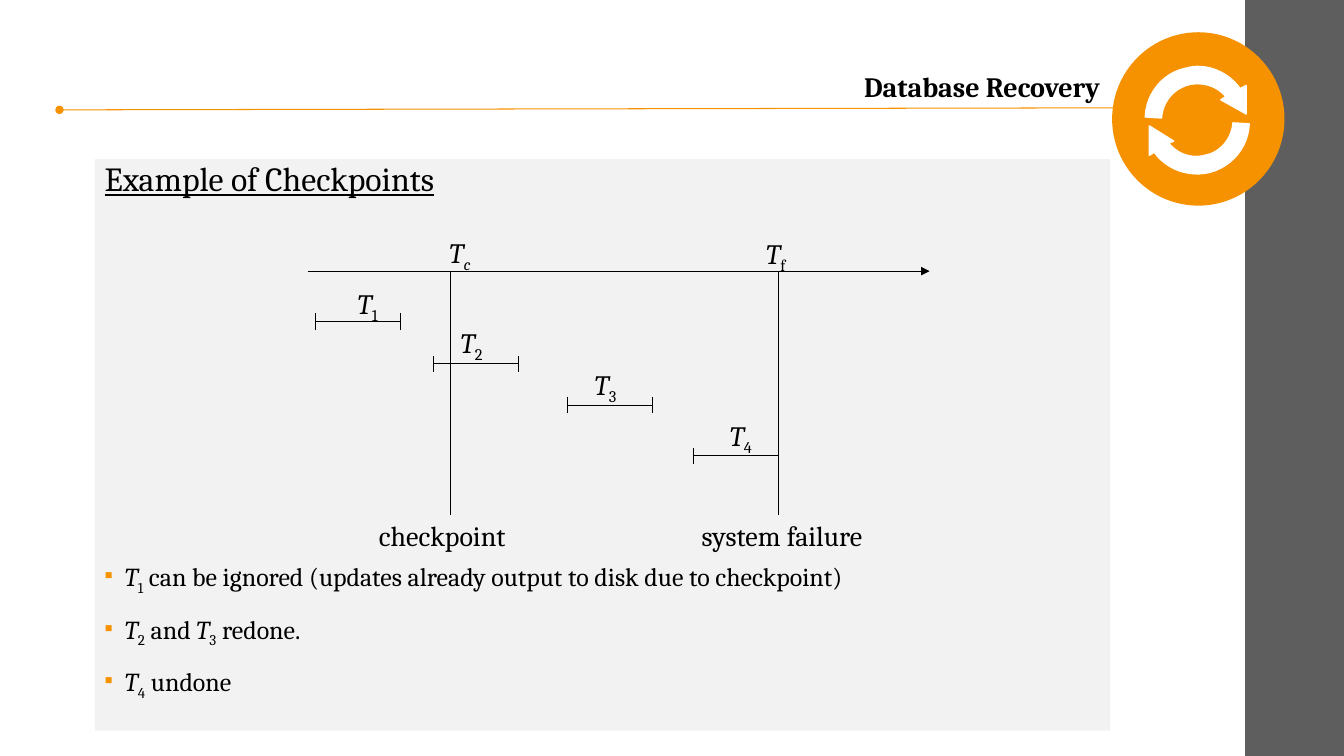
from lxml import etree
from pptx import Presentation
from pptx.dml.color import RGBColor
from pptx.enum import shapes, text
from pptx.oxml import ns
from pptx.util import Inches, Pt

ORANGE, BLACK, WHITE, GREY, PANEL = "F69200", "000000", "FFFFFF", "5E5E5E", "F2F2F2"
FONT = "Cambria"

# Runs are (text, style): i italic, s subscript, b bold, u underlined
TITLE = [("Database Recovery", "b")]
HEADING = [("Example of Checkpoints", "u")]
BULLETS = [
    [("T", "i"), ("1", "s"),
     (" can be ignored (updates already output to disk due to checkpoint)", "")],
    [("T", "i"), ("2", "s"), (" and ", ""), ("T", "i"), ("3", "s"), (" redone.", "")],
    [("T", "i"), ("4", "s"), (" undone", "")],
]

# Time marks: x, subscript, its style, (label left, top, width), caption, (left, width)
AXIS_Y, AXIS_LEFT, AXIS_RIGHT, MARK_BOTTOM, CAPTION_TOP = 2.69, 3.05, 9.22, 5.11, 5.09
MARKS = [
    (4.47, "c", "is", (4.36, 2.29, 0.46), "checkpoint", (3.66, 1.53)),
    (7.72, "f", "s", (7.5, 2.3, 0.42), "system failure", (6.86, 1.91)),
]
# Transactions: number, left, y, (label left, top)
TRANSACTIONS = [
    ("1", 3.13, 3.19, (3.45, 2.79)),
    ("2", 4.3, 3.61, (4.47, 3.18)),
    ("3", 5.63, 4.02, (5.8, 3.6)),
    ("4", 6.88, 4.52, (7.14, 4.1)),
]
SPAN, TICK, LABEL_WIDTH, LABEL_HEIGHT = 0.84, 0.08, 0.47, 0.43

# Outline of each arrow: a pair is a line end, six numbers are a Bezier curve
ARROWS = [
    [(12.23, 1.22), (12.39, 1.23), (12.38, 1.46, 12.22, 1.65, 12, 1.71),
     (11.79, 1.76, 11.57, 1.68, 11.45, 1.51), (11.4, 1.54), (11.4, 1.25),
     (11.64, 1.4), (11.59, 1.42), (11.68, 1.53, 11.82, 1.58, 11.96, 1.54),
     (12.11, 1.51, 12.22, 1.37, 12.23, 1.22)],
    [(11.88, 0.66), (12.04, 0.66, 12.2, 0.74, 12.3, 0.88), (12.36, 0.85),
     (12.36, 1.13), (12.11, 0.99), (12.16, 0.96),
     (12.07, 0.85, 11.93, 0.81, 11.79, 0.84), (11.64, 0.88, 11.53, 1.01, 11.52, 1.17),
     (11.36, 1.16), (11.37, 0.93, 11.53, 0.73, 11.75, 0.68),
     (11.79, 0.67, 11.84, 0.66, 11.88, 0.66)],
]
CURVE_STEPS = 12

presentation = Presentation()
presentation.slide_width, presentation.slide_height = Inches(13.33), Inches(7.5)
slide = presentation.slides.add_slide(presentation.slide_layouts[6])


def color(value):
    return RGBColor.from_string(value)


def add_element(parent, tag, **attributes):
    return etree.SubElement(parent, ns.qn(tag), attributes)


def paint(shape, fill, line=None):
    shape.shadow.inherit = False
    shape.fill.solid()
    shape.fill.fore_color.rgb = color(fill)
    if line:
        shape.line.color.rgb, shape.line.width = color(line), Pt(1.1)
    else:
        shape.line.fill.background()
    return shape


def add_shape(kind, box, fill):
    return paint(slide.shapes.add_shape(kind, *map(Inches, box)), fill)


def add_line(start, end, line=BLACK, **arrowheads):
    """Draw a thin line; arrowheads maps headEnd or tailEnd to its type."""
    connector = slide.shapes.add_connector(
        shapes.MSO_CONNECTOR.STRAIGHT, *map(Inches, start + end))
    connector.line.color.rgb, connector.line.width = color(line), Pt(0.75)
    for tag, kind in arrowheads.items():
        add_element(connector.line._get_or_add_ln(), "a:" + tag, type=kind)
    add_element(connector._element.spPr, "a:effectLst")


def write(paragraph, runs, size, **layout):
    """Fill a paragraph with styled runs; layout holds paragraph attributes."""
    for name, value in layout.items():
        setattr(paragraph, name, value)
    for words, style in runs:
        run = paragraph.add_run()
        run.text = words
        formats = {"name": FONT, "size": Pt(size), "bold": "b" in style,
                   "italic": "i" in style, "underline": "u" in style}
        for name, value in formats.items():
            setattr(run.font, name, value)
        run.font.color.rgb = color(BLACK)
        if "s" in style:
            run.font._element.set("baseline", "-25000")


def add_bullet(paragraph):
    properties = paragraph._p.get_or_add_pPr()
    properties.set("marL", str(Inches(0.2)))
    properties.set("indent", str(Inches(-0.2)))
    add_element(add_element(properties, "a:buClr"), "a:srgbClr", val=ORANGE)
    add_element(properties, "a:buSzPct", val="80000")
    add_element(properties, "a:buFont", typeface=FONT)
    add_element(properties, "a:buChar", char="▪")


def add_label(box, runs, wrap=False, **layout):
    frame = slide.shapes.add_textbox(*map(Inches, box)).text_frame
    frame.word_wrap = wrap
    frame.auto_size = text.MSO_AUTO_SIZE.SHAPE_TO_FIT_TEXT
    write(frame.paragraphs[0], runs, 20, **layout)


def outline_points(outline):
    """Return the outline as points, with curves cut into short lines."""
    points = [outline[0]]
    for segment in outline[1:]:
        if len(segment) == 2:
            points.append(segment)
            continue
        x0, y0 = points[-1]
        x1, y1, x2, y2, x3, y3 = segment
        for step in range(1, CURVE_STEPS + 1):
            t = step / CURVE_STEPS
            a, b, c, d = (1 - t) ** 3, 3 * t * (1 - t) ** 2, 3 * t * t * (1 - t), t ** 3
            points.append((a * x0 + b * x1 + c * x2 + d * x3,
                           a * y0 + b * y1 + c * y2 + d * y3))
    return [(Inches(x), Inches(y)) for x, y in points]


# Side band, title and badge
add_shape(shapes.MSO_SHAPE.RECTANGLE, (12.35, 0, 0.98, 7.5), GREY)
add_shape(shapes.MSO_SHAPE.OVAL, (11.03, 0.32, 1.71, 1.72), ORANGE)
add_label((1.77, 0.64, 9.24, 0.41), TITLE, wrap=True, alignment=text.PP_ALIGN.RIGHT)
add_line((0.59, 1.09), (11.11, 1.07), ORANGE, headEnd="oval")

first, second = map(outline_points, ARROWS)
builder = slide.shapes.build_freeform(*first[0], scale=1.0)
builder.add_line_segments(first[1:], close=True)
builder.move_to(*second[0])
builder.add_line_segments(second[1:], close=True)
paint(builder.convert_to_shape(), WHITE, WHITE)

# Panel: the heading leaves room for the diagram above the bullets
panel = add_shape(shapes.MSO_SHAPE.RECTANGLE, (0.94, 1.58, 10.07, 5.67), PANEL)
body = panel.text_frame
body.word_wrap, body.vertical_anchor = True, text.MSO_ANCHOR.TOP
write(body.paragraphs[0], HEADING, 24.1, alignment=text.PP_ALIGN.LEFT,
      line_spacing=0.85, space_after=Pt(246))
for runs in BULLETS:
    item = body.add_paragraph()
    add_bullet(item)
    write(item, runs, 18.5, alignment=text.PP_ALIGN.LEFT, line_spacing=0.85,
          space_before=Pt(14), space_after=Pt(2))

# Timeline
add_line((AXIS_LEFT, AXIS_Y), (AXIS_RIGHT, AXIS_Y), tailEnd="triangle")
for x, mark, style, (left, top, width), caption, (caption_left, caption_width) in MARKS:
    add_line((x, AXIS_Y), (x, MARK_BOTTOM))
    add_label((left, top, width, LABEL_HEIGHT), [("T", "i"), (mark, style)])
    add_label((caption_left, CAPTION_TOP, caption_width, LABEL_HEIGHT), [(caption, "")])

for number, left, y, label_corner in TRANSACTIONS:
    add_line((left, y), (left + SPAN, y))
    for x in (left, left + SPAN):
        add_line((x, y - TICK), (x, y + TICK))
    add_label(label_corner + (LABEL_WIDTH, LABEL_HEIGHT), [("T", "i"), (number, "s")])

presentation.save("out.pptx")
